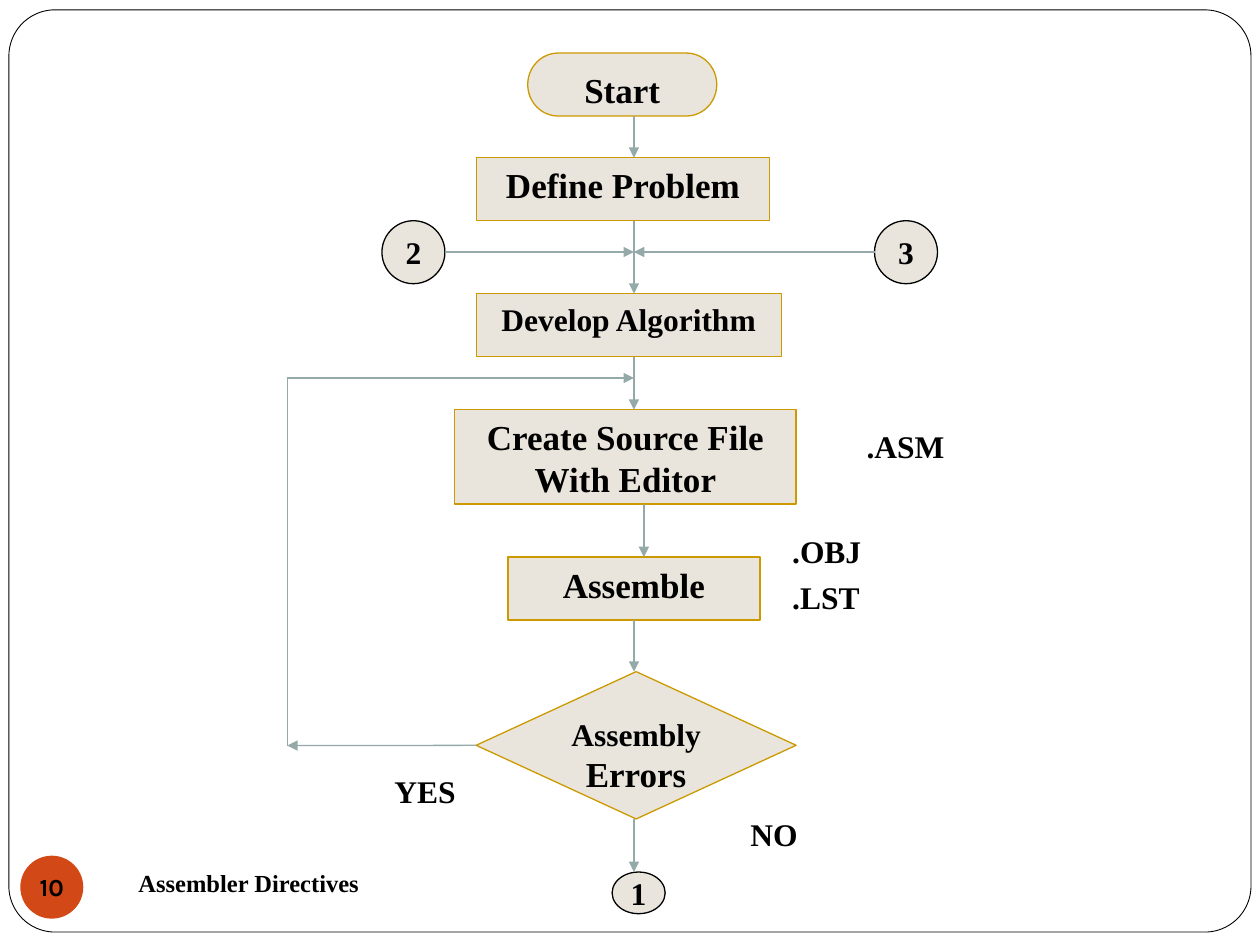
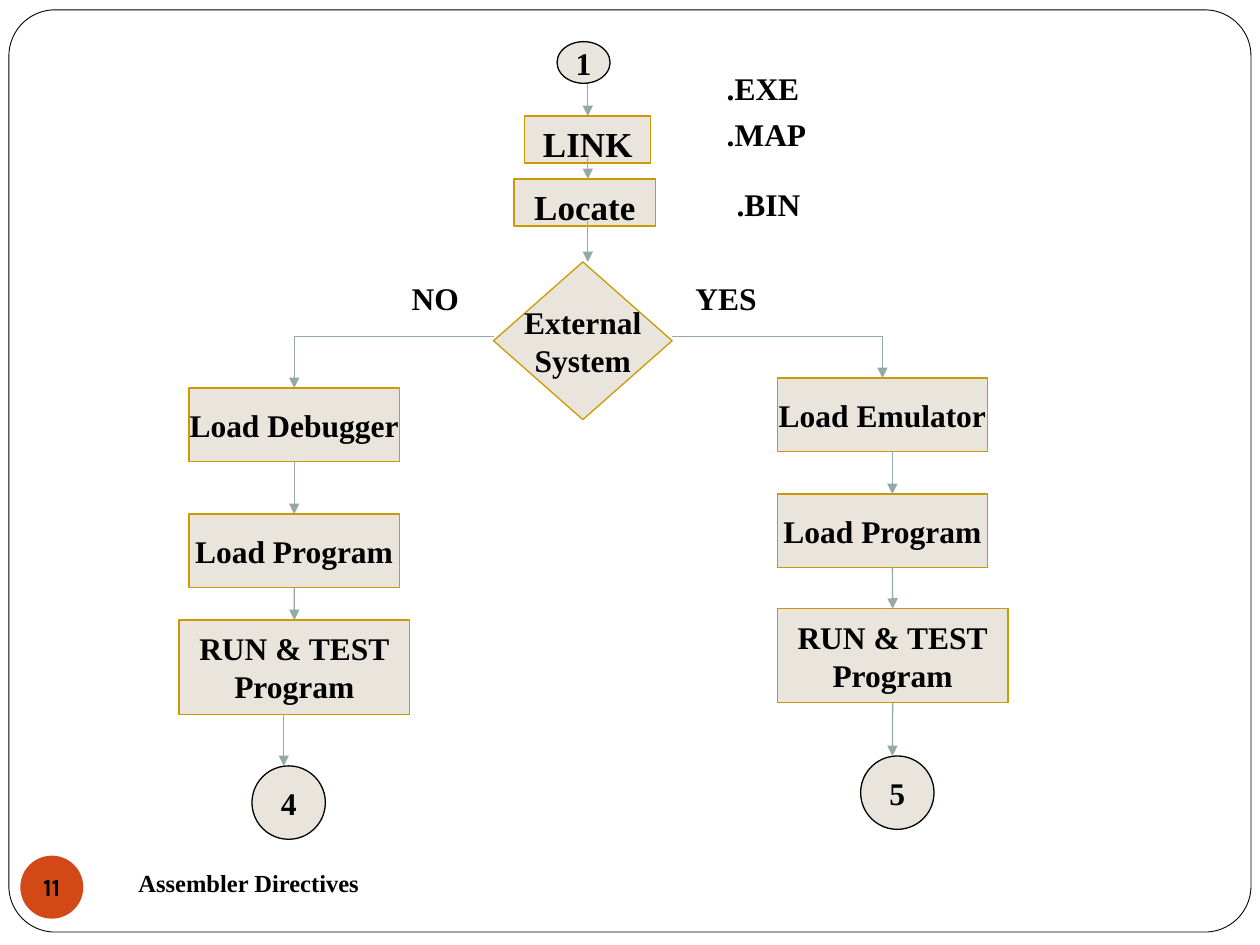
"""Build two flowchart slides on developing and testing an assembly program."""
from dataclasses import dataclass

from lxml.etree import SubElement
from pptx import Presentation
from pptx.dml.color import RGBColor as Color
from pptx.enum.shapes import MSO_CONNECTOR as Connector, MSO_SHAPE as Shape
from pptx.enum.text import MSO_ANCHOR as Anchor, PP_ALIGN as Align
from pptx.oxml.ns import qn
from pptx.util import Cm, Pt


@dataclass(frozen=True)
class Theme:
    paper: Color = Color.from_string("FFFFFF")
    ink: Color = Color.from_string("000000")
    sand: Color = Color.from_string("E9E5DC")
    gold: Color = Color.from_string("CC9900")
    arrow: Color = Color.from_string("96A9A9")
    badge: Color = Color.from_string("D34817")
    font: str = "Times New Roman"
    badge_font: str = "Karla"
    large: int = 20
    normal: int = 18
    small: int = 14
    thin: float = 0.5
    line: float = 0.75


theme = Theme()


def write_text(shape, text, size=theme.normal, last_size=None, font=theme.font,
               align=Align.CENTER, anchor=Anchor.MIDDLE, wrap=False,
               spacing=None, before=None):
    frame = shape.text_frame
    frame.word_wrap = wrap
    frame.vertical_anchor = anchor
    lines = text.split("\n")
    for number, line in enumerate(lines):
        para = frame.add_paragraph() if number else frame.paragraphs[0]
        para.alignment = align
        if spacing:
            para.line_spacing = spacing
            para.space_before = Pt(before)
        span = para.add_run()
        span.text = line
        is_last = number == len(lines) - 1
        span.font.size = Pt(last_size if last_size and is_last else size)
        span.font.name = font
        span.font.bold = True
        span.font.color.rgb = theme.ink


def add_box(page, kind, place, fill, line=None, width=theme.line):
    box = page.shapes.add_shape(kind, *map(Cm, place))
    box.shadow.inherit = False
    box.fill.solid()
    box.fill.fore_color.rgb = fill
    if line is None:
        box.line.fill.background()
    else:
        box.line.color.rgb = line
        box.line.width = Pt(width)
    return box


process, decision = Shape.FLOWCHART_PROCESS, Shape.FLOWCHART_DECISION
top_large = dict(size=theme.large, anchor=Anchor.TOP, wrap=True)
top_normal = dict(top_large, size=theme.normal)
mixed = dict(top_normal, last_size=theme.large)
main_x, left_x, right_x, test_x = 12.78, 5.93, 17.79, 17.99
loop_x, link_x = 5.79, 11.85

charts = [
    dict(
        number="10",
        steps=[
            ("Start", Shape.FLOWCHART_TERMINATOR, (10.64, 1.07, 3.81, 1.27), top_large),
            ("Define Problem", process, (9.6, 3.18, 5.92, 1.27), top_large),
            ("Develop Algorithm", process, (9.6, 5.92, 6.15, 1.27), top_normal),
            ("Create Source File\nWith Editor", process, (9.17, 8.26, 6.88, 1.9), top_large),
            ("Assemble", process, (10.24, 11.23, 5.08, 1.27), top_large),
            ("Assembly \nErrors", decision, (9.6, 13.54, 6.45, 2.97), mixed),
        ],
        circles=[
            ("1", (12.34, 17.58, 1.07, 0.84)),
            ("2", (7.7, 4.45, 1.27, 1.27)),
            ("3", (17.63, 4.45, 1.27, 1.27)),
        ],
        arrows=[
            (main_x, 2.34, main_x, 3.18),
            (main_x, 4.45, main_x, 5.92),
            (main_x, 7.19, main_x, 8.26),
            (12.98, 10.16, 12.98, 11.23),
            (main_x, 12.5, main_x, 13.54),
            (main_x, 16.51, main_x, 17.58),
            (9.6, 15.03, loop_x, 15.03),
            (loop_x, 7.62, main_x, 7.62),
            (17.63, 5.08, main_x, 5.08),
            (8.97, 5.08, main_x, 5.08),
        ],
        plain_lines=[(loop_x, 15.03, loop_x, 7.62)],
        labels=[
            (".ASM", (17.22, 8.48, 2.4, 1.02)),
            (".OBJ\n.LST", (15.72, 10.8, 2.1, 1.73)),
            ("YES", (7.7, 15.44, 2.1, 1.02)),
            ("NO", (14.88, 16.31, 1.8, 1.02)),
        ],
    ),
    dict(
        number="11",
        steps=[
            ("LINK", Shape.RECTANGLE, (10.58, 2.34, 2.54, 0.95), top_large),
            ("Locate", Shape.RECTANGLE, (10.36, 3.61, 2.86, 0.95), top_large),
            ("External\nSystem", decision, (9.95, 5.28, 3.6, 3.18), {}),
            ("Load Debugger", Shape.RECTANGLE, (3.81, 7.82, 4.24, 1.48), {}),
            ("Load Program", Shape.RECTANGLE, (3.81, 10.36, 4.24, 1.48), {}),
            ("RUN & TEST\nProgram", Shape.RECTANGLE, (3.61, 12.5, 4.65, 1.9), {}),
            ("Load Emulator", Shape.RECTANGLE, (15.67, 7.62, 4.24, 1.48), {}),
            ("Load Program", Shape.RECTANGLE, (15.67, 9.96, 4.24, 1.48), {}),
            ("RUN & TEST\nProgram", Shape.RECTANGLE, (15.67, 12.27, 4.65, 1.9), {}),
        ],
        circles=[
            ("1", (11.23, 0.84, 1.07, 0.84)),
            ("4", (5.08, 15.44, 1.48, 1.48)),
            ("5", (17.35, 15.24, 1.48, 1.48)),
        ],
        arrows=[
            (link_x, 1.7, link_x, 2.34),
            (link_x, 3.18, link_x, 3.61),
            (link_x, 4.45, link_x, 5.28),
            (left_x, 6.78, left_x, 7.82),
            (left_x, 9.3, left_x, 10.36),
            (left_x, 11.84, left_x, 12.5),
            (5.72, 14.4, 5.72, 15.44),
            (right_x, 6.78, right_x, 7.62),
            (test_x, 9.1, test_x, 9.96),
            (test_x, 11.44, test_x, 12.27),
            (test_x, 14.17, test_x, 15.24),
        ],
        plain_lines=[(9.96, 6.78, left_x, 6.78), (13.55, 6.78, right_x, 6.78)],
        labels=[
            (".EXE\n.MAP", (14.4, 1.48, 2.4, 1.73)),
            (".BIN", (14.6, 3.61, 2.2, 1.02)),
            ("YES", (13.77, 5.51, 2.1, 1.02)),
            ("NO", (8.05, 5.51, 1.8, 1.02)),
        ],
    ),
]

deck = Presentation()
deck.slide_width, deck.slide_height = Cm(25.4), Cm(19.05)
layout = deck.slide_layouts[6]
pages = [deck.slides.add_slide(layout) for chart in charts]

border = add_box(pages[0], Shape.ROUNDED_RECTANGLE, (0.18, 0.2, 25.04, 18.59),
                 theme.paper, theme.ink, theme.thin)
border.adjustments[0] = 0.05
layout.shapes.element.append(border.element)

for page, chart in zip(pages, charts):
    footer = page.shapes.add_textbox(*map(Cm, (2.54, 17.15, 11, 1.27)))
    write_text(footer, "Assembler Directives", size=theme.small, align=Align.LEFT, wrap=True)

    badge = add_box(page, Shape.OVAL, (0.41, 17.25, 1.27, 1.27), theme.badge)
    frame = badge.text_frame
    frame.margin_left = frame.margin_right = frame.margin_top = frame.margin_bottom = 0
    write_text(badge, chart["number"], size=theme.small, font=theme.badge_font)

    boxes = []
    for text, kind, place, style in chart["steps"]:
        box = add_box(page, kind, place, theme.sand, theme.gold)
        write_text(box, text, **style)
        boxes.append(box)

    for text, place in chart["circles"]:
        write_text(add_box(page, Shape.OVAL, place, theme.sand, theme.ink), text)

    for ends in chart["arrows"] + chart["plain_lines"]:
        x1, y1, x2, y2 = map(Cm, ends)
        line = page.shapes.add_connector(Connector.STRAIGHT, x1, y1, x2, y2)
        line.line.color.rgb = theme.arrow
        line.line.width = Pt(theme.line)
        properties = line.element.spPr
        if ends in chart["arrows"]:
            SubElement(properties.find(qn("a:ln")), qn("a:tailEnd"), type="triangle")
        SubElement(properties, qn("a:effectLst"))
        for box in boxes:
            middle_x, middle_y = box.left + box.width // 2, box.top + box.height // 2
            sides = [(middle_x, box.top), (box.left, middle_y),
                     (middle_x, box.top + box.height), (box.left + box.width, middle_y)]
            for side, (x, y) in enumerate(sides):
                if max(abs(x - x1), abs(y - y1)) < Cm(0.02):
                    line.begin_connect(box, side)
                if max(abs(x - x2), abs(y - y2)) < Cm(0.02):
                    line.end_connect(box, side)

    for text, place in chart["labels"]:
        label = page.shapes.add_textbox(*map(Cm, place))
        stacked = dict(spacing=0.7, before=11.2) if "\n" in text else {}
        write_text(label, text, align=Align.LEFT, anchor=Anchor.TOP, wrap=True, **stacked)

deck.save("out.pptx")
